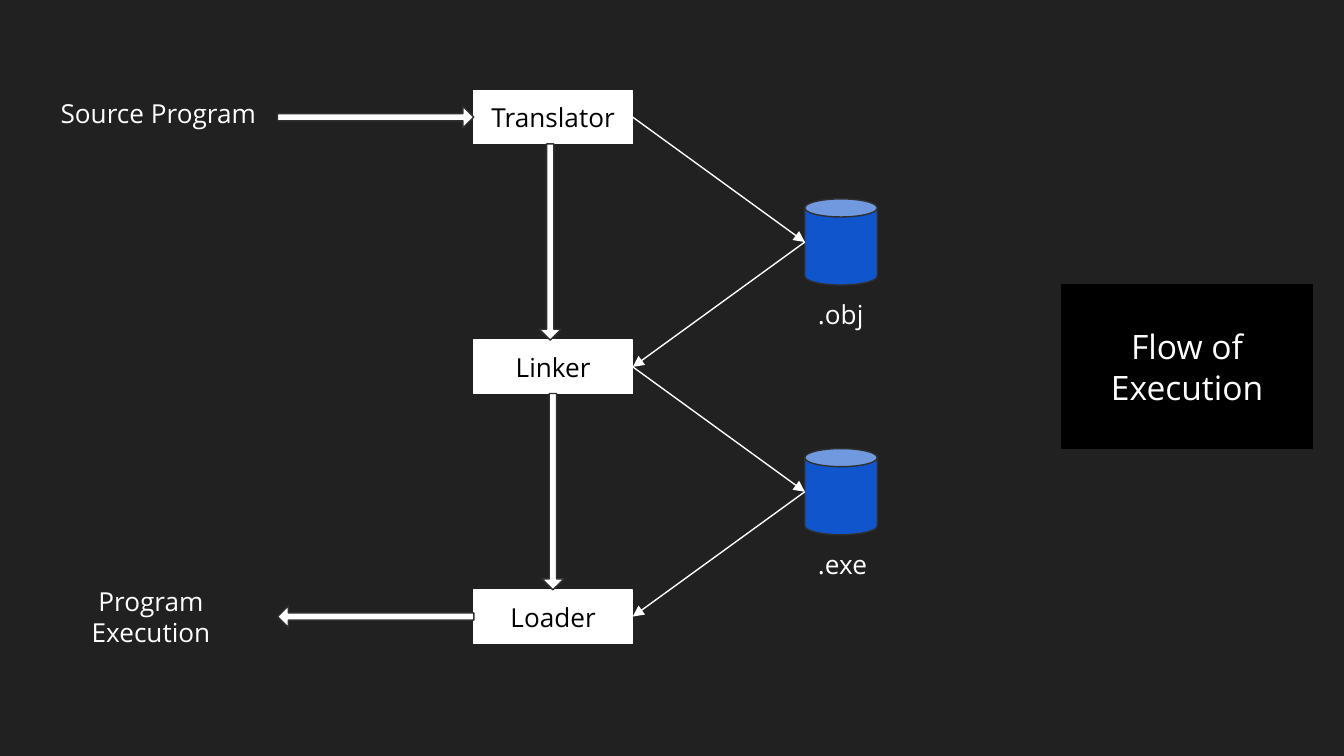
from dataclasses import dataclass

from lxml.etree import SubElement
from pptx import Presentation
from pptx.dml.color import RGBColor
from pptx.enum.shapes import MSO_CONNECTOR as Conn, MSO_SHAPE as Geo
from pptx.enum.text import MSO_ANCHOR as Anchor, MSO_AUTO_SIZE as Fit, PP_ALIGN as Align
from pptx.oxml.ns import qn
from pptx.shapes.autoshape import Shape
from pptx.slide import Slide
from pptx.util import Cm, Pt


@dataclass(frozen=True)
class Theme:
    """Colours, font and type sizes of the slide."""
    back: RGBColor = RGBColor(0x21, 0x21, 0x21)
    light: RGBColor = RGBColor(0xFF, 0xFF, 0xFF)
    dark: RGBColor = RGBColor(0, 0, 0)
    edge: RGBColor = RGBColor(0x30, 0x30, 0x30)
    file: RGBColor = RGBColor(0x11, 0x55, 0xCC)
    font: str = "Open Sans"
    title: Pt = Pt(18)
    body: Pt = Pt(14)
    line: Pt = Pt(0.75)
    inset: Cm = Cm(0.25)


@dataclass(frozen=True)
class Label:
    """A piece of text with its frame in centimetres."""
    text: str
    x: float
    y: float
    w: float
    h: float
    align: Align = Align.CENTER
    anchor: Anchor = Anchor.MIDDLE
    fit: Fit = Fit.NONE


@dataclass(frozen=True)
class BlockArrow:
    """A block arrow given by its centre in centimetres and its rotation."""
    cx: float
    cy: float
    turn: int = 0


T = Theme()
STAGE_X, STAGE_Y, STAGE_W, STAGE_H, PITCH = 8.95, 1.71, 3.01, 1.01, 4.72
FILE_X, FILE_Y, FILE_W, FILE_H = 15.21, 3.76, 1.37, 1.63
ARROW_W, ARROW_L = 0.41, 3.71
FIRST_MID = STAGE_Y + STAGE_H / 2
LAST_MID = FIRST_MID + 2 * PITCH

TITLE = Label("Flow of Execution", 20.06, 5.39, 4.75, 3.08)
STAGES = [Label(name, STAGE_X, STAGE_Y + i * PITCH, STAGE_W, STAGE_H)
          for i, name in enumerate(("Translator", "Linker", "Loader"))]
ENDS = [
    Label("Source Program", 0.76, 1.57, 4.47, 1.12),
    Label("Program Execution", 0.48, 11.1, 4.75, 1.12),
]
FILES = [Label(name, FILE_X, FILE_Y + FILE_H + i * PITCH, w, 1.12,
               Align.LEFT, Anchor.TOP, Fit.SHAPE_TO_FIT_TEXT)
         for i, (name, w) in enumerate(((".obj", 1.4), (".exe", 1.52)))]
ARROWS = [
    BlockArrow(7.1, FIRST_MID, 270),
    BlockArrow(10.4, FIRST_MID + PITCH / 2),
    BlockArrow(10.45, FIRST_MID + 1.5 * PITCH),
    BlockArrow(7.1, LAST_MID, 90),
]


def write(sp: Shape, label: Label, size: Pt, color: RGBColor) -> None:
    """Fill the text frame of a shape with the label's text."""
    tf = sp.text_frame
    tf.word_wrap = True
    tf.auto_size = label.fit
    tf.vertical_anchor = label.anchor
    tf.margin_left = tf.margin_right = tf.margin_top = tf.margin_bottom = T.inset
    p = tf.paragraphs[0]
    p.alignment = label.align
    r = p.add_run()
    r.text = label.text
    r.font.name, r.font.size, r.font.color.rgb = T.font, size, color


def paint(sp: Shape, fill: RGBColor, line: RGBColor) -> None:
    """Give a shape a solid fill and a thin outline."""
    sp.fill.solid()
    sp.fill.fore_color.rgb = fill
    sp.line.color.rgb = line
    sp.line.width = T.line


def add_solid(s: Slide, geo: Geo, x: float, y: float, w: float, h: float,
              fill: RGBColor, line: RGBColor) -> Shape:
    """Add a painted preset shape without a shadow."""
    sp = s.shapes.add_shape(geo, Cm(x), Cm(y), Cm(w), Cm(h))
    sp.shadow.inherit = False
    paint(sp, fill, line)
    return sp


def add_title(s: Slide, label: Label) -> None:
    """Turn the title placeholder into the black panel."""
    sp = s.shapes.title
    sp.left, sp.top, sp.width, sp.height = map(Cm, (label.x, label.y, label.w, label.h))
    paint(sp, T.dark, T.dark)
    write(sp, label, T.title, T.light)


def add_stage(s: Slide, label: Label) -> Shape:
    """Add a white process box."""
    sp = add_solid(s, Geo.RECTANGLE, label.x, label.y, label.w, label.h, T.light, T.light)
    write(sp, label, T.body, T.dark)
    return sp


def add_label(s: Slide, label: Label) -> None:
    """Add a text box in light type."""
    sp = s.shapes.add_textbox(Cm(label.x), Cm(label.y), Cm(label.w), Cm(label.h))
    write(sp, label, T.body, T.light)


def add_block_arrow(s: Slide, arrow: BlockArrow) -> None:
    """Add a block arrow around its centre."""
    sp = add_solid(s, Geo.DOWN_ARROW, arrow.cx - ARROW_W / 2, arrow.cy - ARROW_L / 2,
                   ARROW_W, ARROW_L, T.light, T.edge)
    sp.adjustments[0], sp.adjustments[1] = 0.333, 0.5
    sp.rotation = arrow.turn


def add_file(s: Slide, label: Label) -> Shape:
    """Add a storage drum with its label underneath."""
    sp = add_solid(s, Geo.CAN, label.x, label.y - FILE_H, FILE_W, FILE_H, T.file, T.edge)
    sp.adjustments[0] = 0.25
    add_label(s, label)
    return sp


def add_link(s: Slide, stage: Shape, drum: Shape, to_drum: bool) -> None:
    """Draw a thin arrow between a stage's right side and a drum's left side."""
    right = (stage.left + stage.width, stage.top + stage.height // 2)
    left = (drum.left, drum.top + drum.height // 2)
    start, end = (right, left) if to_drum else (left, right)
    c = s.shapes.add_connector(Conn.STRAIGHT, *start, *end)
    if to_drum:
        c.begin_connect(stage, 3)
    else:
        c.end_connect(stage, 3)
    c.line.color.rgb = T.light
    c.line.width = T.line
    SubElement(c.line._get_or_add_ln(), qn("a:tailEnd"), type="triangle")
    SubElement(c._element.spPr, qn("a:effectLst"))


def main() -> None:
    """Build the slide and save it."""
    prs = Presentation()
    prs.slide_width, prs.slide_height = Cm(25.4), Cm(14.29)
    s = prs.slides.add_slide(prs.slide_layouts[5])
    s.background.fill.solid()
    s.background.fill.fore_color.rgb = T.back
    add_title(s, TITLE)
    stages = [add_stage(s, label) for label in STAGES]
    for arrow in ARROWS:
        add_block_arrow(s, arrow)
    for label in ENDS:
        add_label(s, label)
    drums = [add_file(s, label) for label in FILES]
    for drum, source, target in zip(drums, stages, stages[1:]):
        add_link(s, source, drum, True)
        add_link(s, target, drum, False)
    prs.save("out.pptx")


if __name__ == "__main__":
    main()
